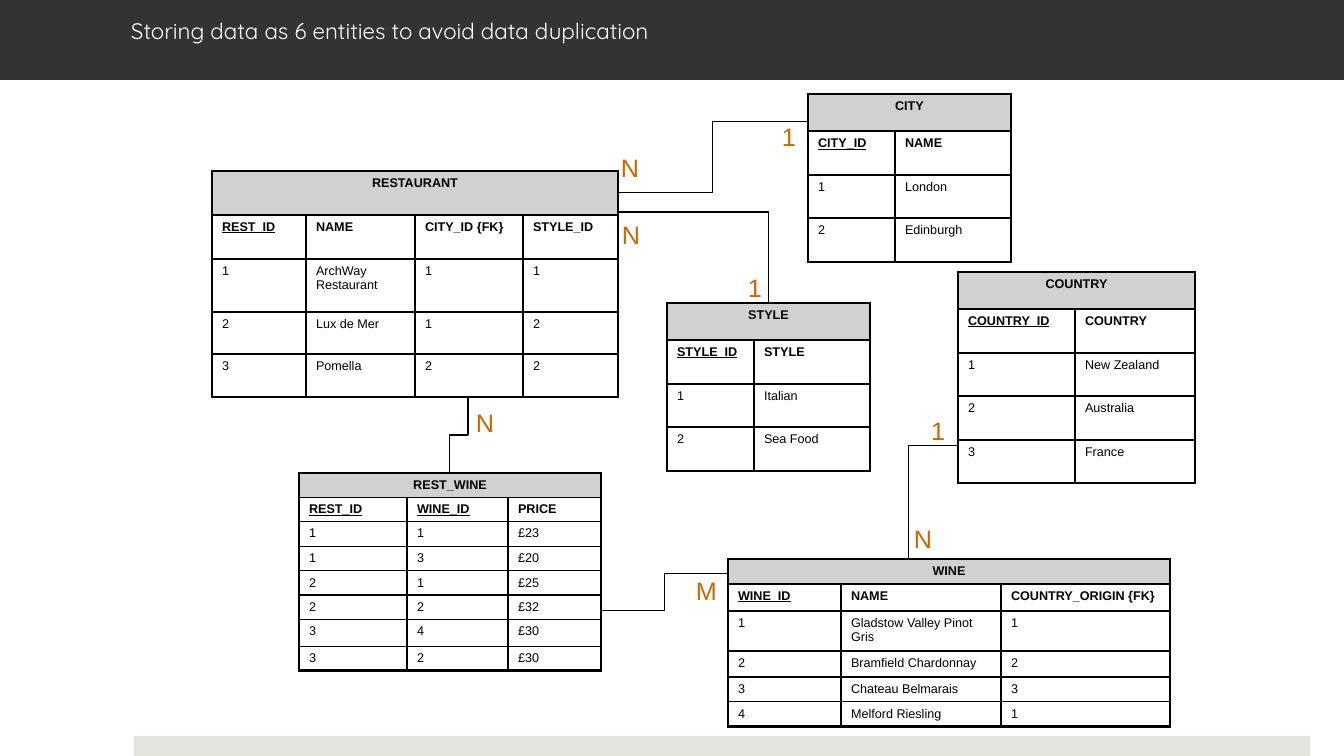
from lxml.etree import SubElement
from pptx import Presentation
from pptx.dml.color import RGBColor
from pptx.enum.shapes import MSO_CONNECTOR as Connector, MSO_SHAPE as Shape
from pptx.enum.text import MSO_ANCHOR as Anchor, MSO_AUTO_SIZE as AutoSize, PP_ALIGN as Align
from pptx.oxml.ns import qn
from pptx.util import Emu, Pt

BLACK, HEADER_GREY, ORANGE = "000000", "D1D1D1", "CC6600"
THICK, THIN = 2.25, 1

ENTITIES = [
    dict(left=212, top=171, columns=[94, 109, 108, 95], heights=[44, 44, 53, 42, 43],
         name="RESTAURANT", rows=[
             ["REST_ID", "NAME", "CITY_ID {FK}", "STYLE_ID"],
             ["1", "ArchWay Restaurant", "1", "1"],
             ["2", "Lux de Mer", "1", "2"],
             ["3", "Pomella", "2", "2"]]),
    dict(left=808, top=94, columns=[87, 116], heights=[37, 44, 43, 44],
         name="CITY", right_edge=THIN, rows=[
             ["CITY_ID", "NAME"], ["1", "London"], ["2", "Edinburgh"]]),
    dict(left=728, top=559, columns=[113, 160, 169], heights=[25, 27, 40, 26, 25, 25],
         name="WINE", rows=[
             ["WINE_ID", "NAME", "COUNTRY_ORIGIN {FK}"],
             ["1", "Gladstow Valley Pinot Gris", "1"],
             ["2", "Bramfield Chardonnay", "2"],
             ["3", "Chateau Belmarais", "3"],
             ["4", "Melford Riesling", "1"]]),
    dict(left=299, top=473, columns=[108, 101, 93], heights=[24, 24, 25, 24, 24, 24, 27, 24],
         name="REST_WINE", key_count=2, rows=[
             ["REST_ID", "WINE_ID", "PRICE"],
             ["1", "1", "£23"], ["1", "3", "£20"], ["2", "1", "£25"],
             ["2", "2", "£32"], ["3", "4", "£30"], ["3", "2", "£30"]]),
    dict(left=667, top=303, columns=[87, 116], heights=[37, 44, 43, 44],
         name="STYLE", right_edge=THIN, rows=[
             ["STYLE_ID", "STYLE"], ["1", "Italian"], ["2", "Sea Food"]]),
    dict(left=958, top=272, columns=[117, 120], heights=[37, 44, 43, 44, 43],
         name="COUNTRY", right_edge=THIN, rows=[
             ["COUNTRY_ID", "COUNTRY"],
             ["1", "New Zealand"], ["2", "Australia"], ["3", "France"]]),
]
RELATIONSHIPS = [
    dict(start=(618, 193), end=(808, 122)),
    dict(start=(468, 397), end=(450, 473), vertical=True),
    dict(start=(601, 611), end=(728, 574)),
    dict(start=(619, 212), end=(768, 303), preset="bentConnector2"),
    dict(start=(958, 333), end=(909, 559), vertical=True),
]
CARDINALITIES = [
    ("1", 772, 116), ("N", 611, 147), ("N", 466, 402), ("M", 686, 570),
    ("N", 612, 214), ("1", 738, 267), ("1", 921, 410), ("N", 904, 518),
]
CARDINALITY_WIDTHS = {"1": 34, "N": 38, "M": 41}


def px(length):
    """Turn pixels into EMU."""
    return Emu(round(length * 914400 / 100.8))


def color(value):
    """Turn a hex string into a colour."""
    return RGBColor.from_string(value)


def fill_solid(part, value):
    """Give a shape or cell a plain fill."""
    part.fill.solid()
    part.fill.fore_color.rgb = color(value)


def set_font(paragraph, size, value, name="Arial", bold=False, underline=False):
    """Set the font of a whole paragraph."""
    font = paragraph.font
    font.size, font.name, font.bold, font.underline = Pt(size), name, bold, underline
    font.color.rgb = color(value)


def add_title(slide, text):
    """Format the title as the dark band across the top."""
    title = slide.shapes.title
    title.left, title.top, title.width, title.height = px(0), px(0), px(1344), px(80)
    fill_solid(title, "333333")
    frame = title.text_frame
    frame.text = text
    frame.word_wrap = True
    frame.auto_size = AutoSize.NONE
    frame.vertical_anchor = Anchor.MIDDLE
    frame.margin_left, frame.margin_right = px(131), px(30)
    frame.margin_top, frame.margin_bottom = px(5), px(23)
    heading = frame.paragraphs[0]
    heading.alignment = Align.LEFT
    set_font(heading, 16, "FFFFFF", "Quicksand")


def add_footer_band(slide):
    """Draw the pale band at the bottom."""
    band = slide.shapes.add_shape(Shape.RECTANGLE, px(134), px(736), px(1176), px(20))
    band.shadow.inherit = False
    fill_solid(band, "E4E6DE")
    band.line.fill.background()


def set_borders(cell, **widths):
    """Draw the cell's black borders, given in points by side."""
    properties = cell._tc.get_or_add_tcPr()
    for side in "LRTB":
        border = SubElement(properties, qn(f"a:ln{side}"), w=str(Pt(widths[side])))
        border_fill = SubElement(border, qn("a:solidFill"))
        SubElement(border_fill, qn("a:srgbClr"), val=BLACK)


def add_entity(slide, left, top, columns, heights, name, rows,
               key_count=1, right_edge=THICK):
    """Add one entity table with its name, attributes and records."""
    table = slide.shapes.add_table(
        len(heights), len(columns), px(left), px(top),
        px(sum(columns)), px(sum(heights))).table
    table.first_row = table.horz_banding = False
    for column, width in zip(table.columns, columns):
        column.width = px(width)
    for row, height in zip(table.rows, heights):
        row.height = px(height)
    table.cell(0, 0).merge(table.cell(0, len(columns) - 1))
    name_row = [name] + [""] * (len(columns) - 1)
    for r, values in enumerate([name_row] + rows):
        for c, value in enumerate(values):
            cell = table.cell(r, c)
            is_name, is_last = r == 0, c == len(columns) - 1
            set_borders(cell,
                        L=THICK if is_name or c == 0 else THIN,
                        R=THICK if is_name else right_edge if is_last else THIN,
                        T=THICK if is_name else THIN,
                        B=THICK if r == len(rows) else THIN)
            if is_name:
                fill_solid(cell, HEADER_GREY)
            else:
                cell.fill.background()
            cell.text = value
            paragraph = cell.text_frame.paragraphs[0]
            paragraph.alignment = Align.CENTER if is_name else Align.LEFT
            set_font(paragraph, 9, BLACK, bold=r < 2, underline=r == 1 and c < key_count)


def add_relationship(slide, start, end, vertical=False, preset="bentConnector3"):
    """Join two entities with an elbow, turned a quarter if it starts vertically."""
    (x1, y1), (x2, y2) = start, end
    if vertical:
        center_x, center_y = (x1 + x2) / 2, (y1 + y2) / 2
        half_run, half_rise = (y2 - y1) / 2, (x1 - x2) / 2
        x1, x2 = center_x - half_run, center_x + half_run
        y1, y2 = center_y - half_rise, center_y + half_rise
    link = slide.shapes.add_connector(Connector.ELBOW, px(x1), px(y1), px(x2), px(y2))
    link.line.color.rgb = color(BLACK)
    link.line.width = Pt(0.75)
    properties = link._element.spPr
    properties.find(qn("a:prstGeom")).set("prst", preset)
    if vertical:
        properties.find(qn("a:xfrm")).set("rot", "5400000")
    SubElement(properties, qn("a:effectLst"))


def add_cardinality(slide, text, left, top):
    """Label one end of a relationship."""
    label = slide.shapes.add_textbox(
        px(left), px(top), px(CARDINALITY_WIDTHS[text]), px(40))
    frame = label.text_frame
    frame.text = text
    frame.word_wrap = False
    frame.auto_size = AutoSize.SHAPE_TO_FIT_TEXT
    frame.paragraphs[0].alignment = Align.CENTER
    set_font(frame.paragraphs[0], 18, ORANGE)


def main():
    """Build the entity diagram and save it."""
    deck = Presentation()
    deck.slide_width, deck.slide_height = px(1344), px(756)
    slide = deck.slides.add_slide(deck.slide_layouts[5])
    add_footer_band(slide)
    add_title(slide, "Storing data as 6 entities to avoid data duplication")
    for entity in ENTITIES:
        add_entity(slide, **entity)
    for relationship in RELATIONSHIPS:
        add_relationship(slide, **relationship)
    for cardinality in CARDINALITIES:
        add_cardinality(slide, *cardinality)
    deck.save("out.pptx")


if __name__ == "__main__":
    main()
